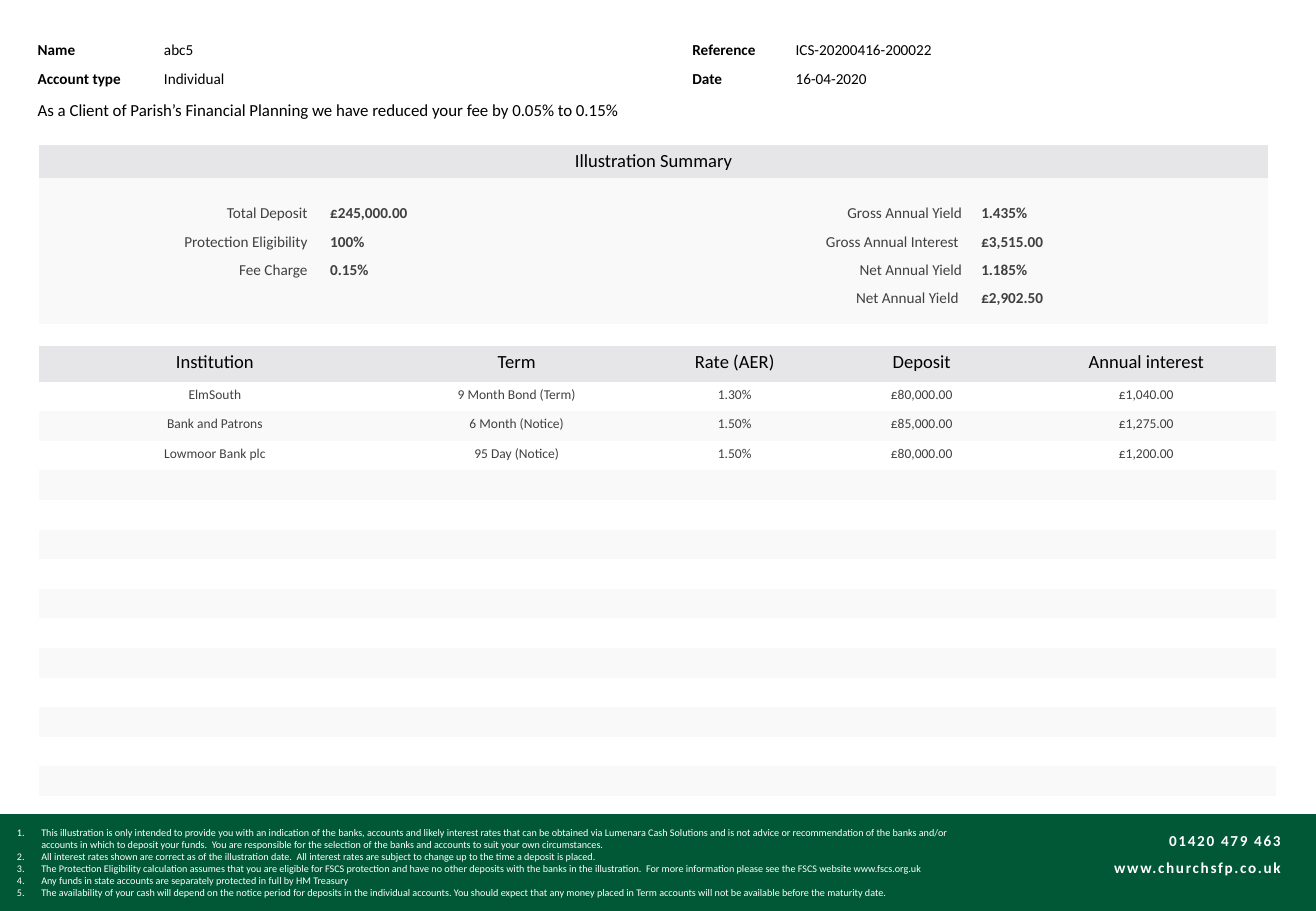
from dataclasses import dataclass

from lxml import etree
from pptx import Presentation
from pptx import util as u
from pptx.dml.color import RGBColor
from pptx.enum import shapes, text
from pptx.oxml import ns

FONT = "Calibri"
GREEN = RGBColor(0x00, 0x58, 0x36)
WHITE = RGBColor(0xFF, 0xFF, 0xFF)
BLACK = RGBColor(0x00, 0x00, 0x00)
GREY = RGBColor(0x40, 0x40, 0x40)
HEADER_FILL = RGBColor(0xE6, 0xE6, 0xE8)
BAND_FILL = RGBColor(0xF9, 0xF9, 0xF9)
NO_STYLE = "{2D5ABB26-0587-4C30-8999-92F81FD0307C}"
LEFT, CENTER, RIGHT = text.PP_ALIGN.LEFT, text.PP_ALIGN.CENTER, text.PP_ALIGN.RIGHT


@dataclass
class Box:
    left: float
    top: float
    width: float
    height: float

    def lengths(self) -> list[u.Length]:
        return [u.Pt(v) for v in (self.left, self.top, self.width, self.height)]


@dataclass
class Grid:
    left: float
    top: float
    cols: list[float]
    rows: list[float]


CLIENT = Grid(20.16, 20.16, [74.9, 313.2, 61.2, 146.2], [16.6] * 3)
DETAIL = Grid(23, 205.2, [208.8, 149, 109.4, 112.3, 154], [21] + [17.55] * 14)
SUMMARY = Grid(23, 85.7, [167, 184.3, 201.6, 176], [19.6, 13] + [16.8] * 4 + [6.9])

CLIENT_ROWS = [
    ["Name", "abc5", "Reference", "ICS-20200416-200022"],
    ["Account type", "Individual", "Date", "16-04-2020"],
]
FEE_NOTE = "As a Client of Parish’s Financial Planning we have reduced your fee by 0.05% to 0.15%"
DETAIL_ROWS = [
    ["Institution", "Term", "Rate (AER)", "Deposit", "Annual interest"],
    ["ElmSouth", "9 Month Bond (Term)", "1.30%", "£80,000.00", "£1,040.00"],
    ["Bank and Patrons", "6 Month (Notice)", "1.50%", "£85,000.00", "£1,275.00"],
    ["Lowmoor Bank plc", "95 Day (Notice)", "1.50%", "£80,000.00", "£1,200.00"],
]
SUMMARY_ROWS = [
    ["Total Deposit ", "£245,000.00", "Gross Annual Yield", "1.435%"],
    ["Protection Eligibility ", "100%", "Gross Annual Interest ", "£3,515.00"],
    ["Fee Charge ", "0.15%", "Net Annual Yield", "1.185%"],
    ["", "", "Net Annual Yield ", "£2,902.50"],
]
NOTES = [
    "This illustration is only intended to provide you with an indication of the banks, accounts and likely "
    "interest rates that can be obtained via Lumenara Cash Solutions and is not advice or recommendation of "
    "the banks and/or \naccounts in which to deposit your funds.  You are responsible for the selection of "
    "the banks and accounts to suit your own circumstances.",
    "All interest rates shown are correct as of the illustration date.  All interest rates are subject to "
    "change up to the time a deposit is placed.",
    "The Protection Eligibility calculation assumes that you are eligible for FSCS protection and have no "
    "other deposits with the banks in the illustration.  For more information please see the FSCS website "
    "www.fscs.org.uk",
    "Any funds in state accounts are separately protected in full by HM Treasury",
    "The availability of your cash will depend on the notice period for deposits in the individual accounts. "
    "You should expect that any money placed in Term accounts will not be available before the maturity date.",
]
CONTACTS = ["01420 479 463", "www.churchsfp.co.uk"]


def write(p, content: str, *, size: float, color: RGBColor = BLACK, bold: bool = False,
          align=LEFT, line: float = 1, after: float = 0, tracking: float = 0) -> None:
    p.alignment = align
    p.line_spacing = line
    p.space_before = u.Pt(0)
    p.space_after = u.Pt(after)
    for i, part in enumerate(content.split("\n")):
        if i:
            p.add_line_break()
        r = p.add_run()
        r.text = part
        r.font.name = FONT
        r.font.size = u.Pt(size)
        r.font.bold = bold
        r.font.color.rgb = color
        if tracking:
            r.font._element.set("spc", str(int(tracking * 100)))


def number(p, indent: float) -> None:
    pPr = p._p.get_or_add_pPr()
    pPr.set("marL", str(u.Pt(indent)))
    pPr.set("indent", str(-u.Pt(indent)))
    etree.SubElement(pPr, ns.qn("a:buFont"), typeface="+mj-lt")
    etree.SubElement(pPr, ns.qn("a:buAutoNum"), type="arabicPeriod")


def add_band(s, box: Box, fill: RGBColor, outlined: bool) -> None:
    sp = s.shapes.add_shape(shapes.MSO_SHAPE.RECTANGLE, *box.lengths())
    sp.shadow.inherit = False
    sp.fill.solid()
    sp.fill.fore_color.rgb = fill
    if outlined:
        sp.line.color.rgb = fill
        sp.line.width = u.Pt(1)
    else:
        sp.line.fill.background()


def add_grid(s, grid: Grid):
    box = Box(grid.left, grid.top, sum(grid.cols), sum(grid.rows))
    frame = s.shapes.add_table(len(grid.rows), len(grid.cols), *box.lengths())
    table = frame.table
    table.first_row = table.horz_banding = False
    next(frame._element.iter(ns.qn("a:tableStyleId"))).text = NO_STYLE
    for col, width in zip(table.columns, grid.cols):
        col.width = u.Pt(width)
    for row, height in zip(table.rows, grid.rows):
        row.height = u.Pt(height)
    return table


def fill_cell(cell, content: str, *, fill: RGBColor | None = None, side: float = 5.76,
              edge: float = 2.88, anchor=text.MSO_ANCHOR.TOP, **fmt) -> None:
    if fill is None:
        cell.fill.background()
    else:
        cell.fill.solid()
        cell.fill.fore_color.rgb = fill
    cell.vertical_anchor = anchor
    cell.margin_left = cell.margin_right = u.Pt(side)
    cell.margin_top = cell.margin_bottom = u.Pt(edge if content else 0)
    p = cell.text_frame.paragraphs[0]
    if content:
        write(p, content, **fmt)
    else:
        etree.SubElement(p._p, ns.qn("a:endParaRPr"), sz="400")


def add_client(s) -> None:
    table = add_grid(s, CLIENT)
    fmt = dict(side=2.16, edge=2.16, anchor=text.MSO_ANCHOR.MIDDLE, line=1.19, after=3)
    for i, row in enumerate(CLIENT_ROWS):
        for j, value in enumerate(row):
            fill_cell(table.cell(i, j), value, size=9, bold=j % 2 == 0, **fmt)
    table.cell(2, 0).merge(table.cell(2, 2))
    fill_cell(table.cell(2, 0), FEE_NOTE, size=10, **fmt)
    fill_cell(table.cell(2, 3), "", **fmt)


def add_detail(s) -> None:
    table = add_grid(s, DETAIL)
    blank = [""] * len(DETAIL.cols)
    for i in range(len(DETAIL.rows)):
        head = i == 0
        fill = HEADER_FILL if head else BAND_FILL if i % 2 == 0 else None
        for j, value in enumerate(DETAIL_ROWS[i] if i < len(DETAIL_ROWS) else blank):
            fill_cell(table.cell(i, j), value, fill=fill, align=CENTER,
                      size=11 if head else 8, color=BLACK if head else GREY)


def add_summary(s) -> None:
    table = add_grid(s, SUMMARY)
    table.cell(0, 0).merge(table.cell(0, 3))
    fill_cell(table.cell(0, 0), "Illustration Summary", fill=HEADER_FILL, size=11, align=CENTER)
    blank = [""] * len(SUMMARY.cols)
    for i, row in enumerate([blank, *SUMMARY_ROWS, blank], start=1):
        for j, value in enumerate(row):
            label = j % 2 == 0
            fill_cell(table.cell(i, j), value, fill=BAND_FILL, size=9, color=GREY,
                      bold=not label, align=RIGHT if label else LEFT)


def add_notes(s) -> None:
    sp = s.placeholders[1]
    sp.left, sp.top, sp.width, sp.height = Box(7.9, 487.4, 617, 48.2).lengths()
    sp._element.getparent().append(sp._element)
    tf = sp.text_frame
    tf.word_wrap = True
    tf.auto_size = text.MSO_AUTO_SIZE.NONE
    tf.vertical_anchor = text.MSO_ANCHOR.TOP
    tf.margin_left = tf.margin_right = tf.margin_top = tf.margin_bottom = u.Pt(2.16)
    for i, note in enumerate(NOTES):
        p = tf.add_paragraph() if i else tf.paragraphs[0]
        number(p, 14.4)
        write(p, note, size=6, color=WHITE)


def add_contacts(s) -> None:
    tf = s.shapes.add_textbox(*Box(578.2, 483.8, 188, 38.2).lengths()).text_frame
    tf.word_wrap = True
    for i, contact in enumerate(CONTACTS):
        p = tf.add_paragraph() if i else tf.paragraphs[0]
        write(p, contact, size=9, color=WHITE, bold=True, align=RIGHT, line=1.5, tracking=1)


def main() -> None:
    prs = Presentation()
    prs.slide_width, prs.slide_height = u.Pt(780), u.Pt(540)
    s = prs.slides.add_slide(prs.slide_layouts[1])
    title = s.shapes.title._element
    title.getparent().remove(title)
    add_band(s, Box(0, 483, 780, 57), GREEN, True)
    add_band(s, Box(0, 0, 780, 75.6), WHITE, False)
    add_notes(s)
    add_client(s)
    add_detail(s)
    add_summary(s)
    add_contacts(s)
    prs.save("out.pptx")


if __name__ == "__main__":
    main()
